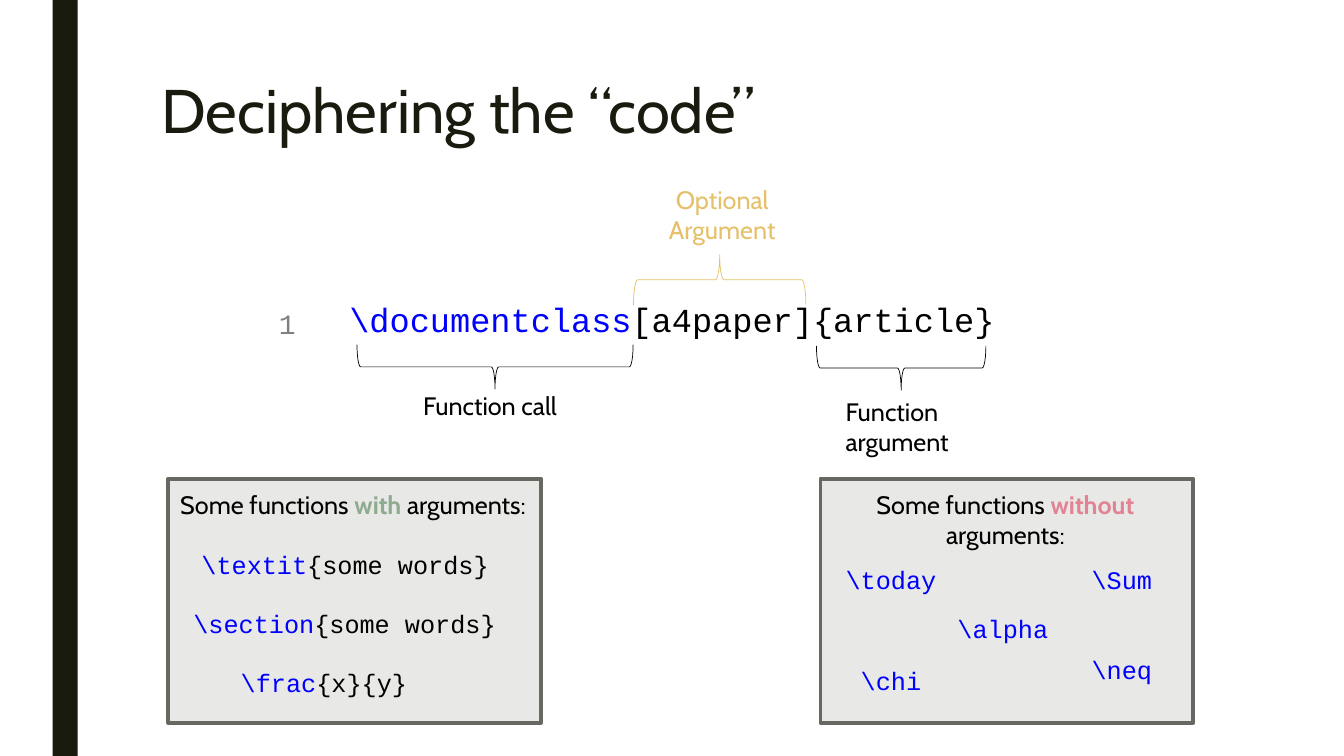
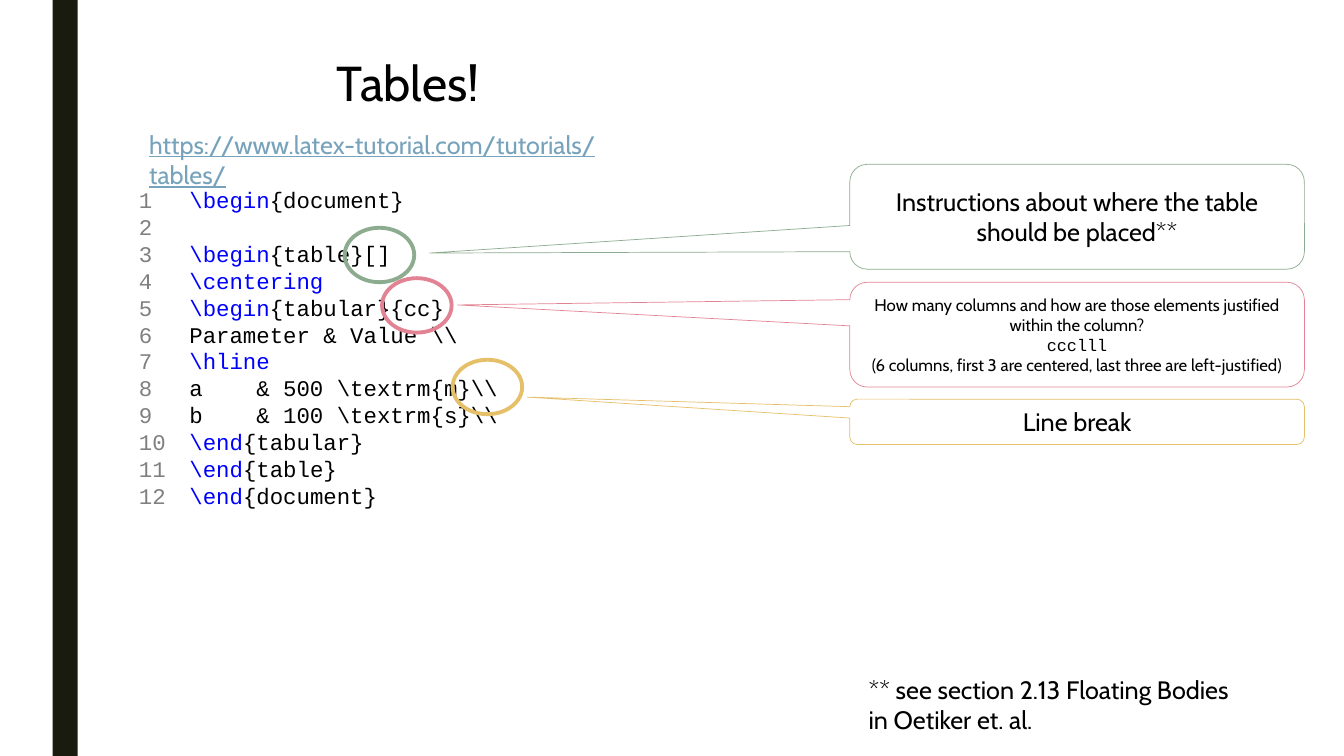
import pptx
import pptx.dml.color
import pptx.enum.shapes
import pptx.enum.text
import pptx.util

Pt = pptx.util.Pt
SHAPE = pptx.enum.shapes.MSO_SHAPE
ALIGN = pptx.enum.text.PP_ALIGN
ANCHOR = pptx.enum.text.MSO_ANCHOR
AUTO_SIZE = pptx.enum.text.MSO_AUTO_SIZE

# Shared style
COLORS = {
    "ink": "191B0E", "black": "000000", "white": "FFFFFF", "grey": "808080",
    "blue": "0000FF", "link": "77A2BB", "green": "8DAB8E", "pink": "E28394",
    "gold": "E6C069", "panel": "E8E8E7", "panel edge": "686863",
}
BODY, CODE = "Cabin", "Courier New"
THIN, THICK = 0.5, 2.75

# Slide 1 content
COMMAND = r"\documentclass[a4paper]{article}"
# Start x, end x, top, depth, rotation, colour
BRACES = [
    (255, 452.2, 246.2, 31.7, 270, "black"),
    (452.5, 575.6, 181.8, 36, 90, "gold"),
    (583.2, 704.2, 247, 31.7, 270, "black"),
]
# Lines, box, colour, centred, wrapped
BRACE_LABELS = [
    (["Function call"], (295.2, 275, 110.9, 28.8), "black", False, False),
    (["Optional", "Argument"], (470.2, 128.2, 91.4, 51), "gold", True, False),
    (["Function argument"], (596.9, 279.4, 92.2, 51), "black", False, True),
]
PANEL_LEFTS, PANEL_TOP, PANEL_SIZE = (120.2, 586.1), 342, (266.4, 174.2)
# Emphasised word, its colour, box, centred and wrapped
PANEL_HEADS = [
    ("with", "green", (121.7, 346.3, 266.4, 28.8), False),
    ("without", "pink", (596.9, 345.6, 242.6, 51), True),
]
# Function, left, top, width
FUNCTIONS = [
    (r"\textit{some words}", 136.8, 388.8, 221),
    (r"\section{some words}", 131, 430.8, 231.8),
    (r"\frac{x}{y}", 164.9, 472.8, 133.9),
    (r"\today", 596.9, 399.6, 79.9),
    (r"\Sum", 772.6, 399.6, 58.3),
    (r"\alpha", 676.8, 434.9, 79.9),
    (r"\chi", 607.7, 471.6, 58.3),
    (r"\neq", 772.6, 463.7, 58.3),
]

# Slide 2 content
URL = "https://www.latex-tutorial.com/tutorials/tables/"
LISTING = [
    r"\begin{document}",
    "",
    r"\begin{table}[]",
    r"\centering",
    r"\begin{tabular}{cc}",
    r"Parameter & Value \\",
    r"\hline",
    r"a    & 500 \textrm{m}\\",
    r"b    & 100 \textrm{s}\\",
    r"\end{tabular}",
    r"\end{table}",
    r"\end{document}",
]
RING_SIZE = (49.7, 38.9)
CALLOUT_LEFT, CALLOUT_WIDTH = 607, 324.7
# Colour, ring position, callout top and height, pointer tip, size, lines with font
NOTES = [
    ("green", (246.2, 162.7), 117.4, 74.9, (-1.424, 0.346), 18,
     [("Instructions about where the table should be placed**", BODY)]),
    ("pink", (272.9, 198.7), 201.6, 74.9, (-1.363, -0.283), 12,
     [("How many columns and how are those elements justified within the column?", BODY),
      ("ccclll", CODE),
      ("(6 columns, first 3 are centered, last three are left-justified)", BODY)]),
    ("gold", (323.3, 257), 285.1, 32.4, (-1.21, -0.546), 18,
     [("Line break", BODY)]),
]
FOOTNOTE = ["** see section 2.13 Floating Bodies", "in Oetiker et. al."]


def rgb(name):
    return pptx.dml.color.RGBColor.from_string(COLORS[name])


def write(frame, paragraphs, size, font=BODY, centred=False):
    """Each paragraph is a list of runs: text, colour and optional font settings."""
    for index, runs in enumerate(paragraphs):
        paragraph = frame.paragraphs[0] if index == 0 else frame.add_paragraph()
        paragraph.alignment = ALIGN.CENTER if centred else ALIGN.LEFT
        paragraph.font.size = Pt(size)
        paragraph.font.name = font
        for text, color, *settings in runs:
            run = paragraph.add_run()
            run.text = text
            run.font.size = Pt(size)
            run.font.name = font
            run.font.color.rgb = rgb(color)
            for key, value in (settings[0] if settings else {}).items():
                setattr(run.font, key, value)


def add_text(slide, box, paragraphs, size, font=BODY, centred=False, wrapped=False):
    frame = slide.shapes.add_textbox(*map(Pt, box)).text_frame
    frame.word_wrap = wrapped
    frame.auto_size = AUTO_SIZE.SHAPE_TO_FIT_TEXT
    write(frame, paragraphs, size, font, centred)
    return frame


def add_shape(slide, kind, box, fill=None, line=None, width=THIN):
    shape = slide.shapes.add_shape(kind, *map(Pt, box))
    shape.shadow.inherit = False
    if fill:
        shape.fill.solid()
        shape.fill.fore_color.rgb = rgb(fill)
    else:
        shape.fill.background()
    if line:
        shape.line.color.rgb = rgb(line)
        shape.line.width = Pt(width)
    else:
        shape.line.fill.background()
    return shape


def code_runs(line):
    """Colour a leading command blue and its arguments black."""
    if not line.startswith("\\"):
        return [(line, "black")] if line else []
    end = min((line.find(mark) for mark in "[{" if mark in line), default=len(line))
    runs = [(line[:end], "blue")]
    if line[end:]:
        runs.append((line[end:], "black"))
    return runs


def new_slide(deck, title, box, size, color, centred=False):
    slide = deck.slides.add_slide(deck.slide_layouts[6])
    add_shape(slide, SHAPE.RECTANGLE, (37.5, 0, 18, 540), fill="ink")
    frame = add_text(slide, box, [[(title, color)]], size, centred=centred, wrapped=True)
    frame.paragraphs[0].line_spacing = 0.9
    return slide


def build_code_slide(deck):
    slide = new_slide(deck, "Deciphering the “code”", (108, 54, 756, 116.6), 44, "ink")

    # Annotated command
    add_text(slide, (240.5, 210.2, 478.8, 36), [code_runs(COMMAND)], 24, CODE, centred=True)
    add_text(slide, (192.2, 215.3, 26.6, 31.7), [[("1", "grey")]], 20, CODE)
    for start, end, top, depth, rotation, color in BRACES:
        length = end - start
        box = ((start + end - depth) / 2, top + (depth - length) / 2, depth, length)
        add_shape(slide, SHAPE.LEFT_BRACE, box, line=color).rotation = rotation
    for lines, box, color, centred, wrapped in BRACE_LABELS:
        add_text(slide, box, [[(line, color)] for line in lines], 18,
                 centred=centred, wrapped=wrapped)

    # Panels of example functions
    for left in PANEL_LEFTS:
        add_shape(slide, SHAPE.RECTANGLE, (left, PANEL_TOP, *PANEL_SIZE),
                  "panel", "panel edge", THICK)
    for word, color, box, centred in PANEL_HEADS:
        heading = [("Some functions ", "black"), (word, color, {"bold": True}),
                   (" arguments:", "black")]
        add_text(slide, box, [heading], 18, centred=centred, wrapped=centred)
    for function, left, top, width in FUNCTIONS:
        add_text(slide, (left, top, width, 28.8), [code_runs(function)], 18, CODE)


def build_tables_slide(deck):
    slide = new_slide(deck, "Tables!", (71.3, 38.9, 440.6, 49.7), 35, "black", centred=True)
    add_text(slide, (99.4, 88.6, 380.9, 28.8), [[(URL, "link", {"underline": True})]], 18,
             wrapped=True)

    # Numbered listing
    numbers = [[(str(number), "grey")] for number in range(1, len(LISTING) + 1)]
    add_text(slide, (92.2, 129.6, 33.8, 239.8), numbers, 16, CODE)
    add_text(slide, (128.2, 129.6, 428.4, 239.8), [code_runs(line) for line in LISTING],
             16, CODE, wrapped=True)

    # Rings and their callouts
    for color, ring, top, height, tip, size, lines in NOTES:
        add_shape(slide, SHAPE.OVAL, (*ring, *RING_SIZE), line=color, width=THICK)
        callout = add_shape(slide, SHAPE.ROUNDED_RECTANGULAR_CALLOUT,
                            (CALLOUT_LEFT, top, CALLOUT_WIDTH, height), "white", color)
        for index, value in enumerate(tip):
            callout.adjustments[index] = value
        callout.text_frame.word_wrap = True
        callout.text_frame.vertical_anchor = ANCHOR.MIDDLE
        write(callout.text_frame,
              [[(text, "black", {"name": font})] for text, font in lines],
              size, centred=True)

    add_text(slide, (613.4, 478, 290.2, 51), [[(line, "black")] for line in FOOTNOTE], 18)


def main():
    deck = pptx.Presentation()
    deck.slide_width, deck.slide_height = Pt(960), Pt(540)
    build_code_slide(deck)
    build_tables_slide(deck)
    deck.save("out.pptx")


if __name__ == "__main__":
    main()
